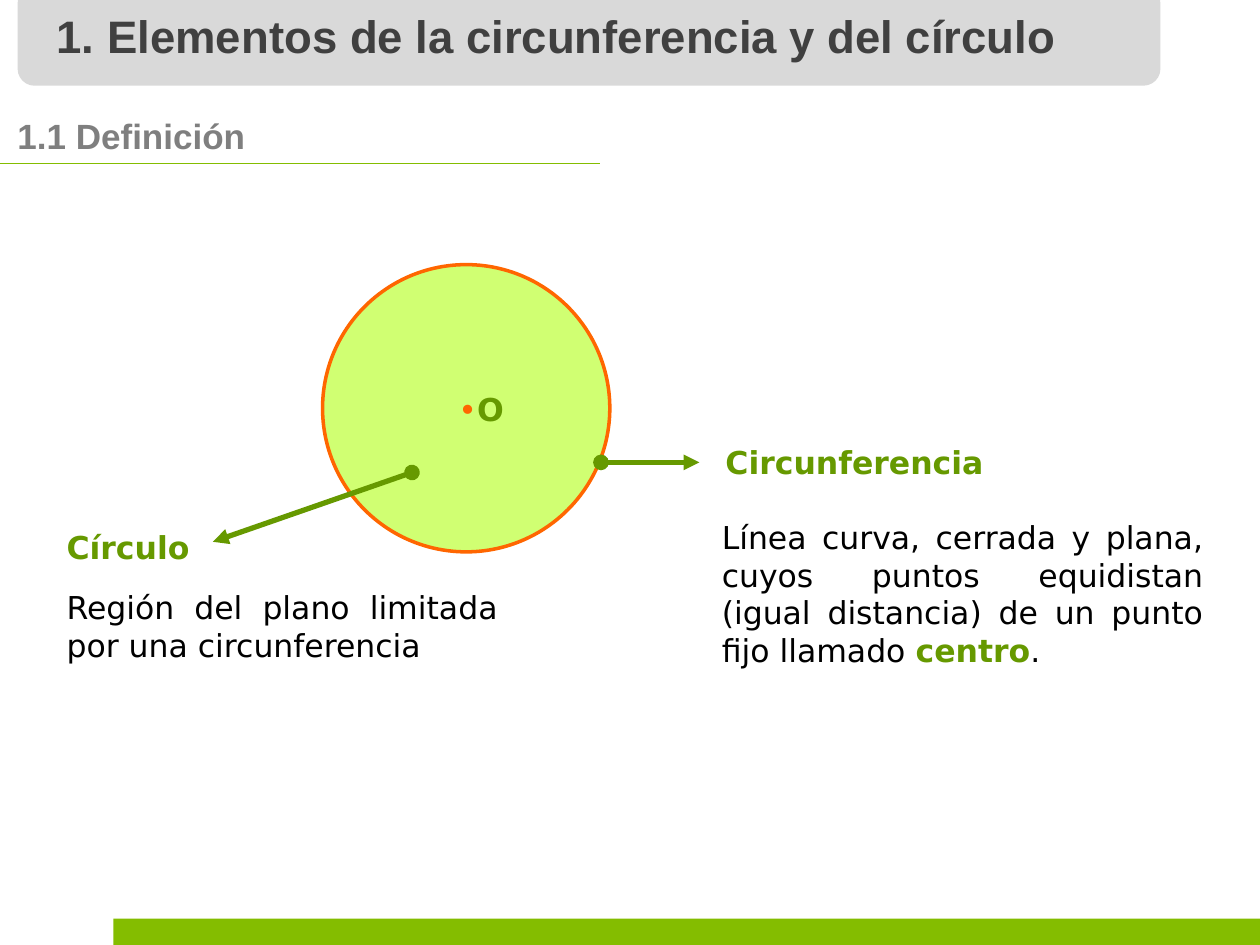
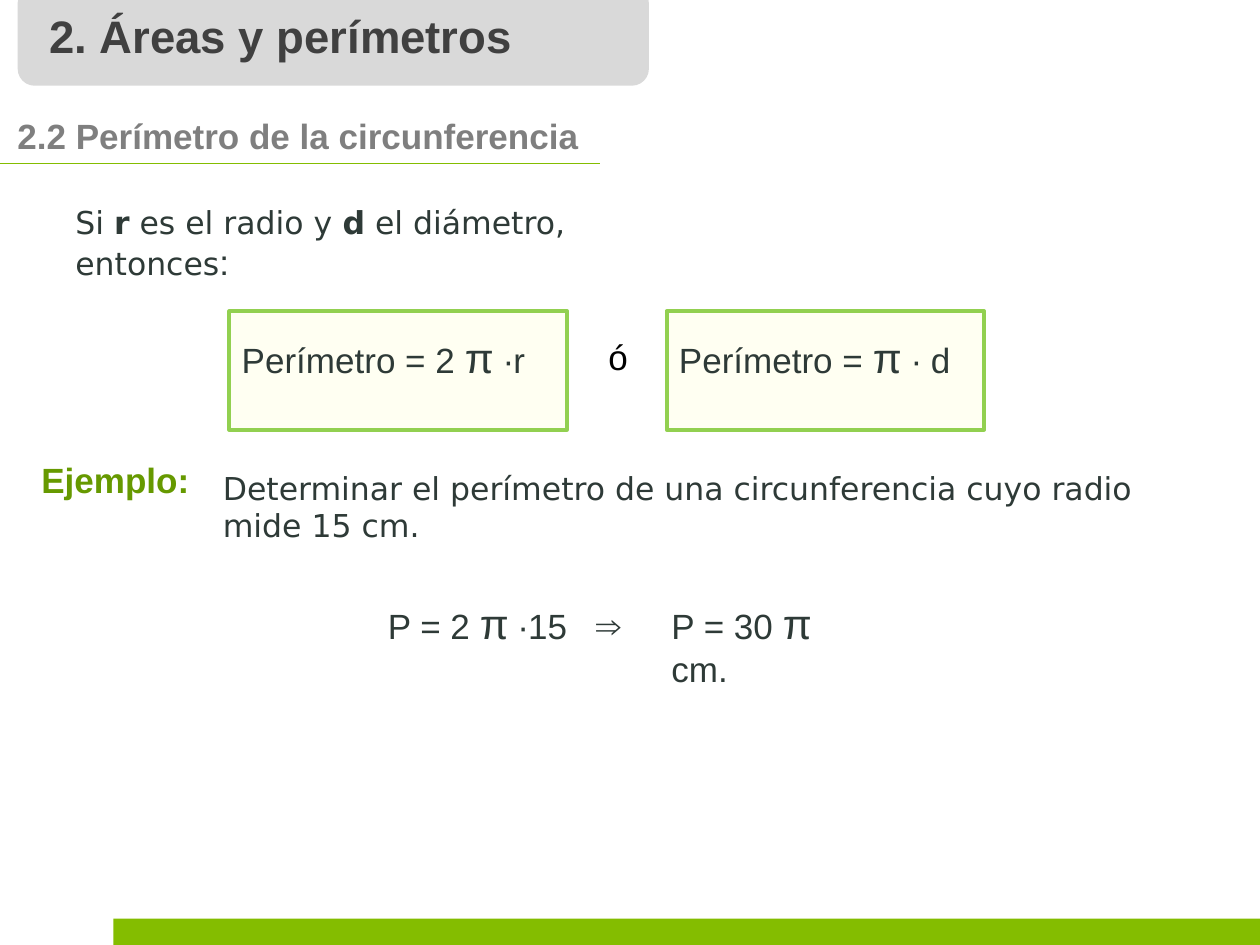
from lxml import etree
from pptx import Presentation
from pptx.dml.color import RGBColor
from pptx.enum.shapes import MSO_CONNECTOR, MSO_SHAPE
from pptx.enum.text import MSO_ANCHOR, MSO_AUTO_SIZE, PP_ALIGN
from pptx.oxml.ns import qn
from pptx.util import Pt

PX = 9144
LIME = RGBColor(0x84, 0xBD, 0x00)
GREEN = RGBColor(0x66, 0x99, 0x00)
PALE_GREEN = RGBColor(0xCC, 0xFF, 0x66)
BOX_GREEN = RGBColor(0x92, 0xD0, 0x50)
ORANGE = RGBColor(0xFF, 0x66, 0x00)
YELLOW = RGBColor(0xFF, 0xFF, 0x00)
LIGHT_GREY = RGBColor(0xD9, 0xD9, 0xD9)
MID_GREY = RGBColor(0x7F, 0x7F, 0x7F)
DARK_GREY = RGBColor(0x40, 0x40, 0x40)
INK = RGBColor(0x2E, 0x3A, 0x37)
BLACK = RGBColor(0x00, 0x00, 0x00)

TITLE = {"name": "Arial", "size": Pt(26), "bold": True, "color": DARK_GREY}
SUBTITLE = {"name": "Arial", "size": Pt(20), "bold": True, "color": MID_GREY}
BODY = {"name": "DejaVu Sans", "size": Pt(18), "bold": False, "color": BLACK}
TERM = BODY | {"bold": True, "color": GREEN}
CENTER_DOT = BODY | {"color": ORANGE}
NOTE = BODY | {"color": INK}
VARIABLE = NOTE | {"bold": True}
FORMULA = {"name": "Arial", "size": Pt(20), "bold": False, "color": INK}
PI = FORMULA | {"size": Pt(24)}
EXAMPLE = FORMULA | {"bold": True, "color": GREEN}
OR = FORMULA | {"color": BLACK}


def write(sp, runs, top=5, align=PP_ALIGN.LEFT, anchor=MSO_ANCHOR.TOP):
    tf = sp.text_frame
    frame = {"word_wrap": True, "auto_size": MSO_AUTO_SIZE.NONE, "vertical_anchor": anchor,
             "margin_left": 10 * PX, "margin_right": 10 * PX,
             "margin_top": top * PX, "margin_bottom": 5 * PX}
    for key, value in frame.items():
        setattr(tf, key, value)
    p = tf.paragraphs[0]
    p.alignment = align
    for words, style in runs:
        r = p.add_run()
        r.text = words
        for key, value in style.items():
            if key == "color":
                r.font.color.rgb = value
            else:
                setattr(r.font, key, value)


def draw(s, kind, box, fill, alpha=100, line=None, width=0):
    sp = s.shapes.add_shape(kind, *(v * PX for v in box))
    sp.shadow.inherit = False
    sp.fill.solid()
    sp.fill.fore_color.rgb = fill
    if alpha < 100:
        color = sp.element.spPr.find(qn("a:solidFill"))[0]
        etree.SubElement(color, qn("a:alpha"), val=str(alpha * 1000))
    if line is None:
        sp.line.fill.background()
    else:
        sp.line.color.rgb = line
        sp.line.width = Pt(width)
    return sp


prs = Presentation()
prs.slide_width, prs.slide_height = 1000 * PX, 750 * PX

headings = [
    ("1. Elementos de la circunferencia y del círculo", 907, (35, 1, 814, 54), "1.1 Definición"),
    ("2. Áreas y perímetros", 501, (29, 1, 388, 54), "2.2 Perímetro de la circunferencia"),
]
slides = []
lines = []
for title, band_width, title_box, subtitle in headings:
    s = prs.slides.add_slide(prs.slide_layouts[5])
    slides.append(s)
    band = draw(s, MSO_SHAPE.ROUNDED_RECTANGLE, (14, -11, band_width, 79), LIGHT_GREY)
    band.adjustments[0] = 0.17
    heading = s.shapes.title
    heading.left, heading.top, heading.width, heading.height = (v * PX for v in title_box)
    s.shapes.element.append(heading.element)
    write(heading, [(title, TITLE)])
    sub = s.shapes.add_textbox(4 * PX, 86 * PX, 898 * PX, 44 * PX)
    write(sub, [(subtitle, SUBTITLE)])
    lines.append((s, (0, 130, 476, 130), LIME, 0.75, False))

definition, perimeter = slides
footer = draw(definition, MSO_SHAPE.RECTANGLE, (90, 729, 910, 21), LIME)
prs.slide_master.shapes.element.append(footer.element)

draw(definition, MSO_SHAPE.OVAL, (256, 210, 228, 228), PALE_GREEN, 92, ORANGE, 2)
for ends in [(477, 367, 555, 367), (327, 375, 169, 430)]:
    lines.append((definition, ends, GREEN, 3, True))

for s, ends, color, width, arrow in lines:
    c = s.shapes.add_connector(MSO_CONNECTOR.STRAIGHT, *(v * PX for v in ends))
    c.line.color.rgb = color
    c.line.width = Pt(width)
    if arrow:
        ln = c.line._get_or_add_ln()
        etree.SubElement(ln, qn("a:headEnd"), type="oval")
        etree.SubElement(ln, qn("a:tailEnd"), type="triangle")
    etree.SubElement(c.element.spPr, qn("a:effectLst"))

formulas = [
    ((182, 247, 268, 94), [("Perímetro = 2 ", FORMULA), ("π", PI), (" ∙r", FORMULA)]),
    ((529, 247, 252, 94), [("Perímetro = ", FORMULA), ("π", PI), (" ∙ d", FORMULA)]),
]
for box, runs in formulas:
    sp = draw(perimeter, MSO_SHAPE.RECTANGLE, box, YELLOW, 5, BOX_GREEN, 2.25)
    write(sp, runs, top=16)

justified = {"align": PP_ALIGN.JUSTIFY}
texts = [
    (definition, (563, 406, 402, 165), [
        ("Línea curva, cerrada y plana, cuyos puntos equidistan (igual distancia) "
         "de un punto fijo llamado ", BODY), ("centro", TERM), (".", BODY)], justified),
    (definition, (43, 462, 362, 103),
     [("Región del plano limitada por una circunferencia", BODY)], justified),
    (definition, (354, 305, 114, 40), [("•", CENTER_DOT), ("O", TERM)], {}),
    (definition, (566, 347, 233, 40), [("Circunferencia", TERM)], {}),
    (definition, (43, 414, 205, 40), [("Círculo", TERM)], {}),
    (perimeter, (50, 156, 496, 44), [
        ("Si ", NOTE), ("r", VARIABLE), (" es el radio y ", NOTE), ("d", VARIABLE),
        (" el diámetro, entonces", NOTE), (":", FORMULA)], {}),
    (perimeter, (23, 359, 181, 44), [("Ejemplo:", EXAMPLE)], {}),
    (perimeter, (473, 250, 55, 54), [("ó", OR)], {"top": 16}),
    (perimeter, (167, 367, 802, 70),
     [("Determinar el perímetro de una circunferencia cuyo radio mide 15 cm.", NOTE)],
     {"anchor": MSO_ANCHOR.MIDDLE}),
    (perimeter, (298, 469, 170, 50), [("P = 2 ", FORMULA), ("π", PI), (" ∙15", FORMULA)], {}),
    (perimeter, (463, 474, 42, 44), [("⇒", FORMULA)], {}),
    (perimeter, (523, 469, 180, 50), [("P = 30 ", FORMULA), ("π", PI), (" cm.", FORMULA)], {}),
]
for s, box, runs, options in texts:
    write(s.shapes.add_textbox(*(v * PX for v in box)), runs, **options)

prs.save("out.pptx")
